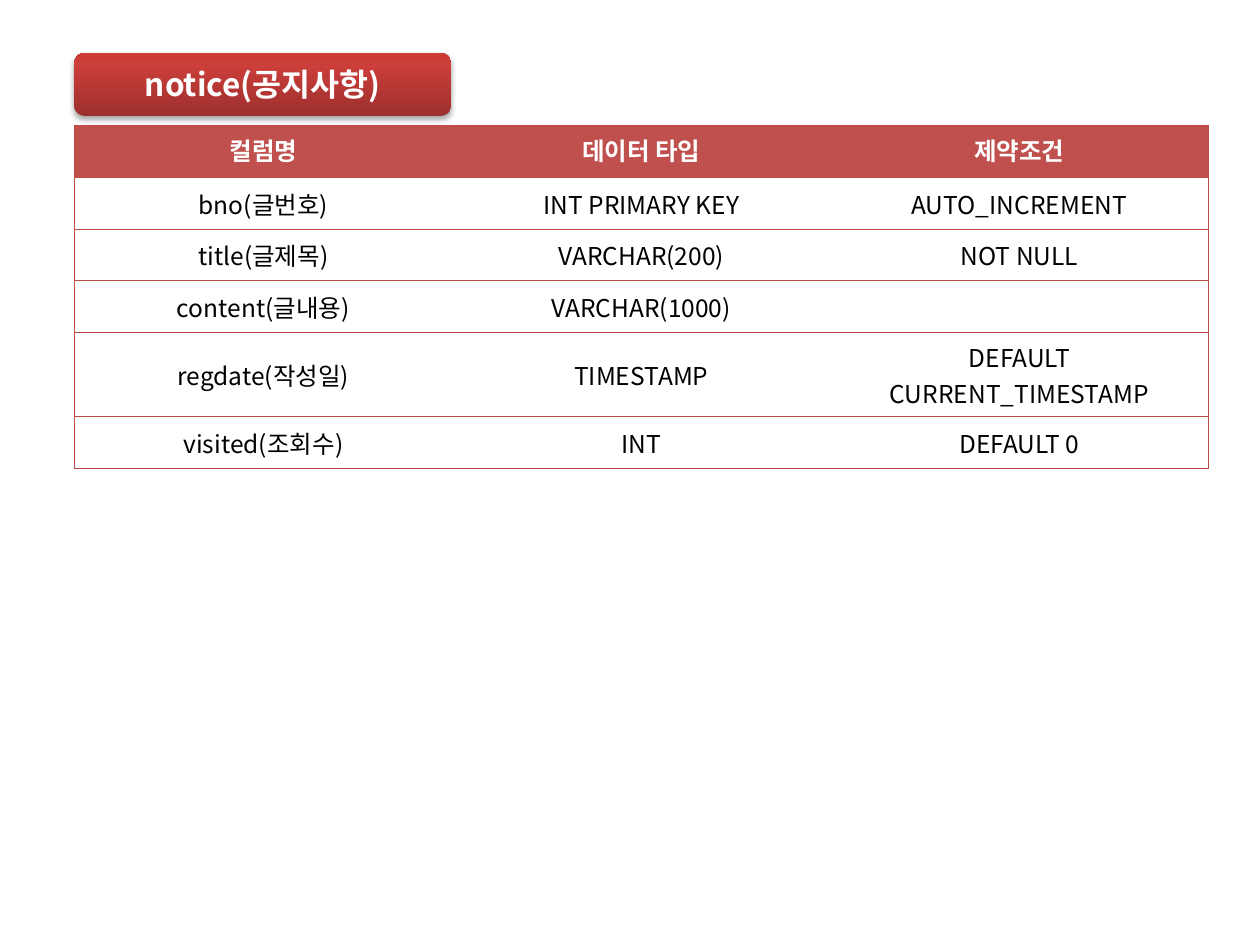
"""Build a slide that describes the columns of the notice table."""
from lxml import etree
from pptx import Presentation, util as u
from pptx.dml.color import RGBColor
from pptx.enum import shapes, text
from pptx.oxml.ns import qn

TITLE = "notice(공지사항)"
ROWS = [
    ("컬럼명", "데이터 타입", "제약조건"),
    ("bno(글번호)", "INT PRIMARY KEY", "AUTO_INCREMENT"),
    ("title(글제목)", "VARCHAR(200)", "NOT NULL"),
    ("content(글내용)", "VARCHAR(1000)", ""),
    ("regdate(작성일)", "TIMESTAMP", "DEFAULT CURRENT_TIMESTAMP"),
    ("visited(조회수)", "INT", "DEFAULT 0"),
]
FONT = "Noto Sans CJK KR"
WHITE = RGBColor(255, 255, 255)
BLACK = RGBColor(0, 0, 0)
RED = RGBColor(0xC0, 0x50, 0x4D)
EDGE = RGBColor(0xBF, 0x4C, 0x48)
SHADE = [
    (0, RGBColor(0x9C, 0x2F, 0x2D)),
    (80, RGBColor(0xCB, 0x3E, 0x3A)),
    (100, RGBColor(0xCE, 0x3B, 0x37)),
]
LEFT, TOP, COL, ROW = 0.59, 1, 3, 0.41


def node(parent, tag, **attrs):
    item = etree.SubElement(parent, qn(tag))
    for key, val in attrs.items():
        item.set(key, str(val))
    return item


def write(frame, words, size, color, bold):
    par = frame.paragraphs[0]
    par.alignment = text.PP_ALIGN.CENTER
    if not words:
        return
    run = par.add_run()
    run.text = words
    font = run.font
    font.size, font.bold, font.name = u.Pt(size), bold, FONT
    font.color.rgb = color
    node(font._element, "a:ea", typeface=FONT)


def border(cell, shown):
    props = cell._tc.get_or_add_tcPr()
    for spot, side in enumerate("LRTB"):
        line = node(props, "a:ln" + side, w=u.Pt(0.75))
        if side in shown:
            node(node(line, "a:solidFill"), "a:srgbClr", val=EDGE)
        else:
            node(line, "a:noFill")
        props.insert(spot, line)


def shade(shape):
    shape.fill.gradient()
    shape.fill.gradient_angle = 90
    grad = shape._element.spPr.find(qn("a:gradFill"))
    grad.find(qn("a:lin")).set("ang", str(270 * 60000))
    stops = grad.find(qn("a:gsLst"))
    for old in list(stops):
        stops.remove(old)
    for pos, color in SHADE:
        node(node(stops, "a:gs", pos=pos * 1000), "a:srgbClr", val=color)


def shadow(shape):
    shape.shadow.inherit = False
    effects = shape._element.spPr.find(qn("a:effectLst"))
    outer = node(effects, "a:outerShdw", blurRad=u.Pt(3.1), dist=u.Pt(1.8),
                 dir=90 * 60000, rotWithShape=0)
    node(node(outer, "a:srgbClr", val="000000"), "a:alpha", val=35000)


deck = Presentation()
deck.slide_width, deck.slide_height = u.Inches(10), u.Inches(7.5)
slide = deck.slides.add_slide(deck.slide_layouts[6])

count = len(ROWS[0])
table = slide.shapes.add_table(
    len(ROWS), count, u.Inches(LEFT), u.Inches(TOP),
    u.Inches(COL * count), u.Inches(ROW * len(ROWS))).table
table.horz_banding = False
for col in table.columns:
    col.width = u.Inches(COL)
for r, row in enumerate(ROWS):
    table.rows[r].height = u.Inches(ROW)
    head = r == 0
    for c, words in enumerate(row):
        cell = table.cell(r, c)
        if head:
            cell.fill.solid()
            cell.fill.fore_color.rgb = RED
        else:
            cell.fill.background()
            cell.vertical_anchor = text.MSO_ANCHOR.MIDDLE
        border(cell, "TB" + "L" * (c == 0) + "R" * (c == count - 1))
        write(cell.text_frame, words, 14, WHITE if head else BLACK, head)

badge = slide.shapes.add_shape(
    shapes.MSO_SHAPE.ROUNDED_RECTANGLE, u.Inches(LEFT), u.Inches(0.42),
    u.Inches(2.99), u.Inches(0.5))
badge.line.fill.background()
shade(badge)
shadow(badge)
badge.text_frame.vertical_anchor = text.MSO_ANCHOR.MIDDLE
write(badge.text_frame, TITLE, 18, WHITE, True)

deck.save("out.pptx")
